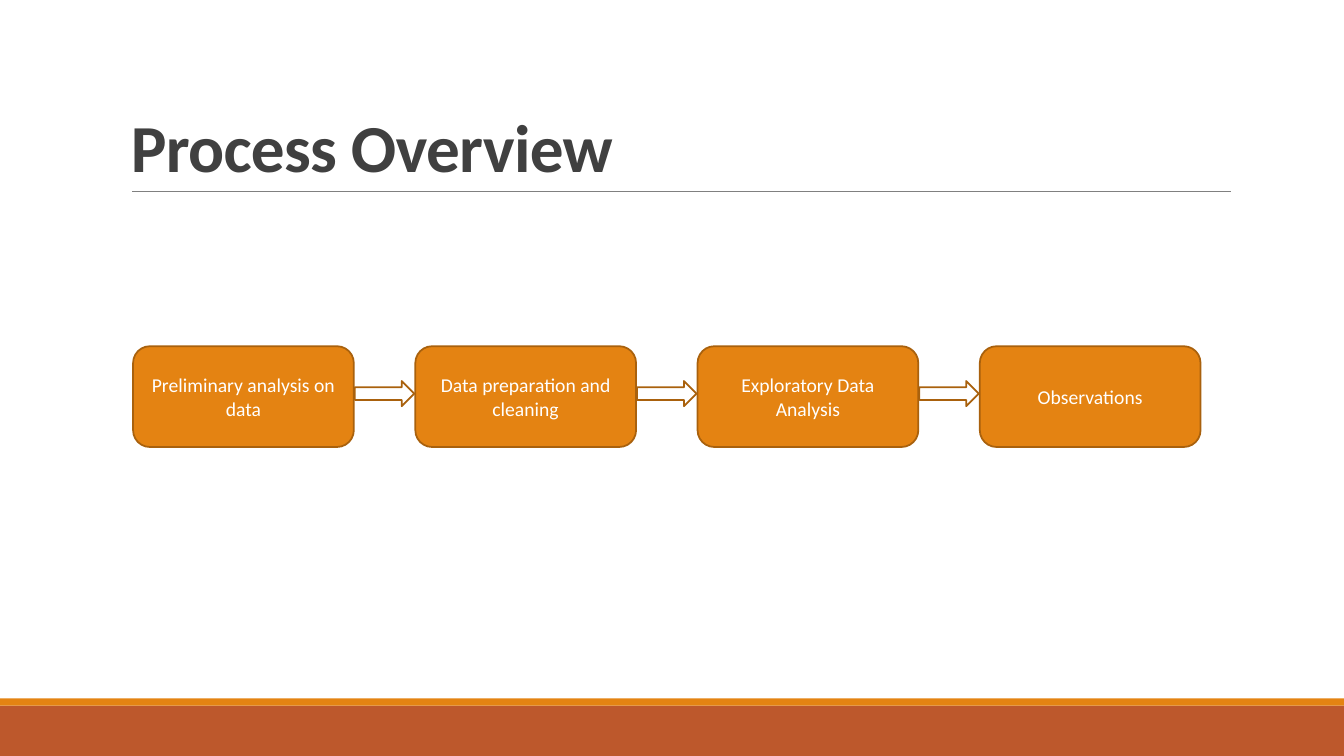
import pptx
import pptx.dml.color
import pptx.enum.shapes
import pptx.enum.text
import pptx.oxml
import pptx.oxml.ns
import pptx.util

SHAPE = pptx.enum.shapes.MSO_SHAPE
ALIGN = pptx.enum.text.PP_ALIGN
ANCHOR = pptx.enum.text.MSO_ANCHOR
COLORS = {
    "orange": "E48312",
    "rust": "BD582C",
    "edge": "A9610D",
    "rule": "808080",
    "title": "404040",
    "white": "FFFFFF",
}
STEPS = [
    "Preliminary analysis on data",
    "Data preparation and cleaning",
    "Exploratory Data Analysis",
    "Observations",
]


class Deck:
    """Draws styled elements on a slide grid of ten columns and rows per inch."""

    font = "Calibri"
    cell = pptx.util.Inches(0.1)

    def __init__(self, wide, high):
        self.show = pptx.Presentation()
        self.show.slide_width = self.grid(wide)
        self.show.slide_height = self.grid(high)
        self.slide = self.show.slides.add_slide(self.show.slide_layouts[6])

    def grid(self, count):
        return round(count * self.cell)

    def color(self, name):
        return pptx.dml.color.RGBColor.from_string(COLORS[name])

    def label(self, shape, text, size, color, align, anchor, bold=False):
        frame = shape.text_frame
        frame.word_wrap = True
        frame.vertical_anchor = anchor
        para = frame.paragraphs[0]
        para.alignment = align
        run = para.add_run()
        run.text = text
        run.font.name = self.font
        run.font.size = pptx.util.Pt(size)
        run.font.bold = bold
        run.font.color.rgb = self.color(color)
        return para, run

    def shape(self, kind, area, fill, edge=None):
        shape = self.slide.shapes.add_shape(kind, *map(self.grid, area))
        shape.shadow.inherit = False
        shape.fill.solid()
        shape.fill.fore_color.rgb = self.color(fill)
        if edge:
            shape.line.color.rgb = self.color(edge)
            shape.line.width = pptx.util.Pt(1.25)
        else:
            shape.line.fill.background()
        return shape

    def step(self, text, area):
        box = self.shape(SHAPE.ROUNDED_RECTANGLE, area, "orange", "edge")
        self.label(box, text, 14, "white", ALIGN.CENTER, ANCHOR.MIDDLE)

    def rule(self, left, right, top):
        ends = map(self.grid, (left, top, right, top))
        line = self.slide.shapes.add_connector(
            pptx.enum.shapes.MSO_CONNECTOR.STRAIGHT, *ends)
        line.line.color.rgb = self.color("rule")
        line.line.width = pptx.util.Pt(0.5)
        props = line._element.spPr
        props.append(pptx.oxml.parse_xml(
            "<a:effectLst %s/>" % pptx.oxml.ns.nsdecls("a")))

    def title(self, text, area):
        box = self.slide.shapes.add_textbox(*map(self.grid, area))
        para, run = self.label(
            box, text, 48, "title", ALIGN.LEFT, ANCHOR.BOTTOM, True)
        para.line_spacing = 0.85
        run._r.get_or_add_rPr().set("spc", "-50")


def main():
    wide, high = 133.33, 75
    left, top, pitch, width = 13.2, 34.35, 28, 21.9
    deck = Deck(wide, high)
    deck.shape(SHAPE.RECTANGLE, (0, 70, wide, 5), "rust")
    deck.shape(SHAPE.RECTANGLE, (0, 69.3, wide, 0.7), "orange")
    deck.rule(13.1, 122.1, 19)
    for i, text in enumerate(STEPS):
        deck.step(text, (left + i * pitch, top, width, 10))
    for i in range(len(STEPS) - 1):
        spot = left + i * pitch + width + 0.1
        deck.shape(SHAPE.RIGHT_ARROW, (spot, 37.8, 5.9, 2.5), "white", "edge")
    deck.title("Process Overview", (12, 3.1, 110, 15.9))
    deck.show.save("out.pptx")


if __name__ == "__main__":
    main()
